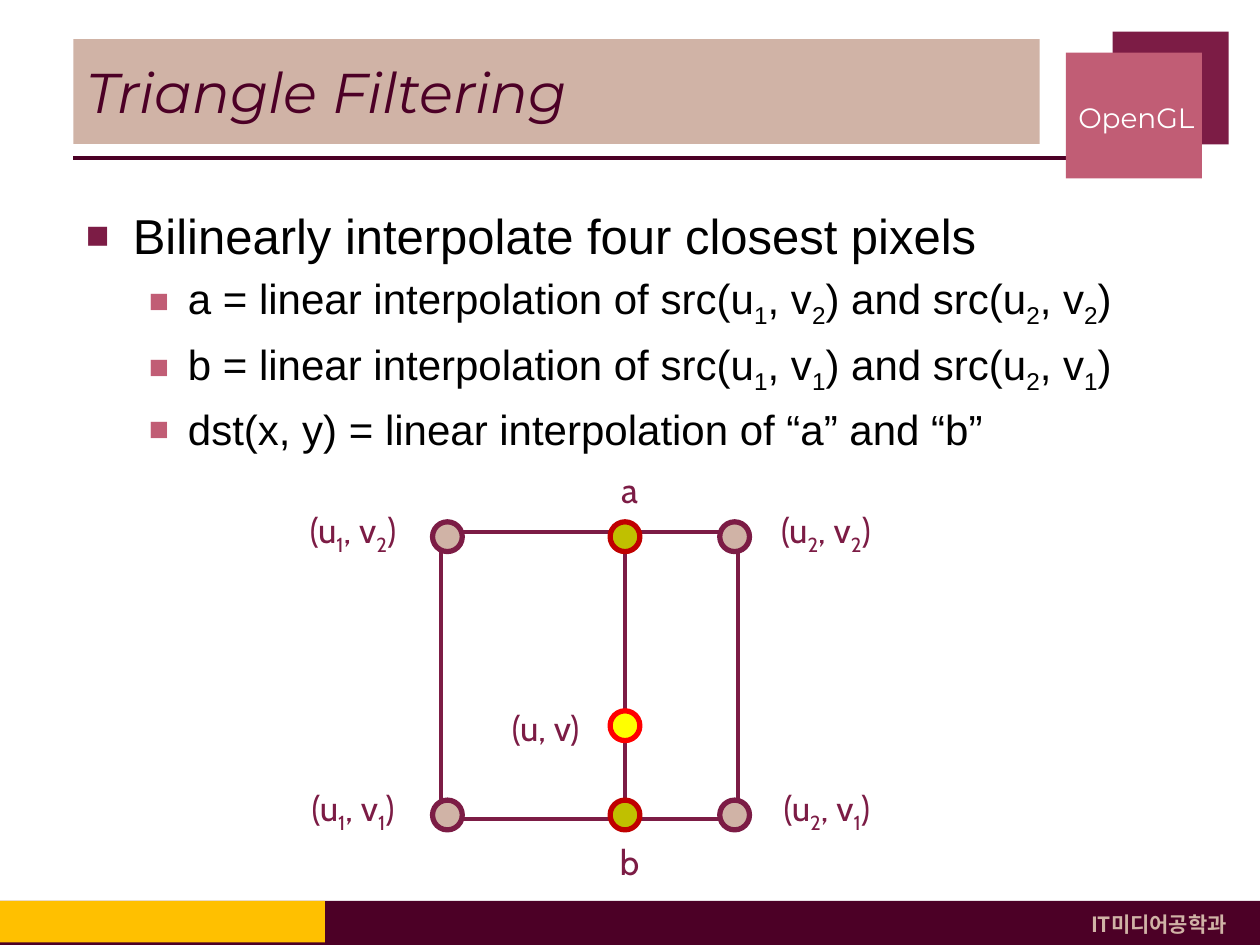
"""Build the Triangle Filtering slide with its bilinear interpolation diagram."""
from lxml import etree
from pptx import Presentation
from pptx.dml.color import RGBColor
from pptx.enum.shapes import MSO_CONNECTOR, MSO_SHAPE
from pptx.enum.text import MSO_ANCHOR, MSO_AUTO_SIZE, PP_ALIGN
from pptx.oxml.ns import qn
from pptx.util import Cm, Pt

RECT, OVAL = MSO_SHAPE.RECTANGLE, MSO_SHAPE.OVAL
STRAIGHT = MSO_CONNECTOR.STRAIGHT
MIDDLE = MSO_ANCHOR.MIDDLE
LEFT, CENTER, RIGHT = PP_ALIGN.LEFT, PP_ALIGN.CENTER, PP_ALIGN.RIGHT
FIXED = MSO_AUTO_SIZE.NONE

COLORS = {
    "dark": "4C0026", "wine": "7C1C45", "rose": "C15D75", "sand": "D0B3A6",
    "amber": "FFC000", "olive": "C0C000", "brick": "C00000",
    "yellow": "FFFF00", "red": "FF0000", "white": "FFFFFF", "black": "000000",
}


def add_figure(kind, left, top, width, height, fill=None, line=None, weight=0):
    figure = slide.shapes.add_shape(kind, Cm(left), Cm(top), Cm(width), Cm(height))
    figure.shadow.inherit = False
    if fill:
        figure.fill.solid()
        figure.fill.fore_color.rgb = RGBColor.from_string(COLORS[fill])
    else:
        figure.fill.background()
    if line:
        figure.line.color.rgb = RGBColor.from_string(COLORS[line])
        figure.line.width = Pt(weight)
    else:
        figure.line.fill.background()
    return figure


def write(paragraph, text, size, font, color, align=LEFT):
    """Add the runs of a text in which an underscore lowers the next character."""
    paragraph.alignment = align
    first, *rest = text.split("_")
    pieces = [(first, False)]
    for part in rest:
        pieces += [(part[0], True), (part[1:], False)]
    for piece, lowered in pieces:
        run = paragraph.add_run()
        run.text = piece
        run.font.size = Pt(size)
        run.font.name = font
        run.font.color.rgb = RGBColor.from_string(COLORS[color])
        if lowered:
            run.font._element.set("baseline", "-25000")
    return run


prs = Presentation()
prs.slide_width, prs.slide_height = Cm(25.4), Cm(19.05)
slide = prs.slides.add_slide(prs.slide_layouts[5])

title = slide.shapes.title
title.left, title.top, title.width, title.height = Cm(1.48), Cm(0.79), Cm(19.48), Cm(2.11)
title.fill.solid()
title.fill.fore_color.rgb = RGBColor.from_string(COLORS["sand"])
title.text_frame.auto_size = FIXED
title.text_frame.vertical_anchor = MIDDLE
title_run = write(title.text_frame.paragraphs[0], "Triangle Filtering", 32, "Montserrat", "dark")
title_run.font.italic = True

rules = [
    (1.48, 3.18, 21.59, 3.18, "dark"),
    (12.6, 10.72, 12.6, 16.53, "wine"),
]
for x1, y1, x2, y2, color in rules:
    rule = slide.shapes.add_connector(STRAIGHT, Cm(x1), Cm(y1), Cm(x2), Cm(y2))
    rule.line.color.rgb = RGBColor.from_string(COLORS[color])
    rule.line.width = Pt(2.25)
    etree.SubElement(rule._element.spPr, qn("a:effectLst"))

add_figure(RECT, 22.43, 0.64, 2.34, 2.27, "wine")
add_figure(RECT, 21.49, 1.06, 2.74, 2.54, "rose")
add_figure(RECT, 0, 18.16, 25.4, 0.89, "dark")
add_figure(RECT, 0, 18.16, 6.55, 0.84, "amber")

department = add_figure(RECT, 21.36, 18.24, 4.01, 0.76, "dark")
department_run = write(department.text_frame.paragraphs[0], "IT미디어공학과", 12,
                       "Noto Sans CJK KR", "sand", CENTER)
department_run.font.bold = True
etree.SubElement(department_run.font._element, qn("a:ea"), typeface="Noto Sans CJK KR")

badge = slide.shapes.add_textbox(Cm(21.49), Cm(1.52), Cm(2.84), Cm(1.7)).text_frame
badge.word_wrap = False
badge.margin_left = 0
badge.vertical_anchor = MIDDLE
write(badge.paragraphs[0], "OpenGL", 16, "Montserrat", "white", RIGHT)

body = slide.shapes.add_textbox(Cm(1.48), Cm(4.01), Cm(22.65), Cm(13.77)).text_frame
body.word_wrap = True
points = [
    (0, "Bilinearly interpolate four closest pixels"),
    (1, "a = linear interpolation of src(u_1, v_2) and src(u_2, v_2)"),
    (1, "b = linear interpolation of src(u_1, v_1) and src(u_2, v_1)"),
    (1, "dst(x, y) = linear interpolation of “a” and “b”"),
]
levels = [(0.95, 0.95, 28, "wine"), (2.06, 0.79, 24, "rose")]
for index, (level, text) in enumerate(points):
    margin, hanging, size, bullet_color = levels[level]
    point = body.paragraphs[0] if index == 0 else body.add_paragraph()
    point.level = level
    point.space_before = Pt(4.8 if index else 0)
    properties = point._p.get_or_add_pPr()
    properties.set("marL", str(Cm(margin)))
    properties.set("indent", str(-Cm(hanging)))
    bullet_fill = etree.SubElement(properties, qn("a:buClr"))
    etree.SubElement(bullet_fill, qn("a:srgbClr"), val=COLORS[bullet_color])
    etree.SubElement(properties, qn("a:buSzPct"), val="80000")
    etree.SubElement(properties, qn("a:buFont"), typeface="Arial")
    etree.SubElement(properties, qn("a:buChar"), char="■")
    write(point, text, size, "Arial", "black")

add_figure(RECT, 8.89, 10.72, 5.99, 5.79, line="wine", weight=2.25)

DIAMETER = 0.6
u1, u, u2 = 9.02, 12.6, 14.81
v2, v, v1 = 10.82, 14.63, 16.43
samples = [(x, y, "sand", "wine") for y in (v2, v1) for x in (u1, u2)]
samples += [(u, v2, "olive", "brick"), (u, v1, "olive", "brick"), (u, v, "yellow", "red")]
for x, y, fill, line in samples:
    add_figure(OVAL, x - DIAMETER / 2, y - DIAMETER / 2, DIAMETER, DIAMETER, fill, line, 3)

LABEL_HEIGHT = 1.09
labels = [
    ("(u_1, v_2)", 7.12, 10.68, 2.72),
    ("(u_1, v_1)", 7.12, 16.27, 2.72),
    ("(u_2, v_2)", 16.65, 10.68, 2.72),
    ("(u_2, v_1)", 16.67, 16.27, 2.72),
    ("a", 12.69, 9.87, 0.89),
    ("b", 12.69, 17.36, 0.89),
    ("(u, v)", 11, 14.67, 2.24),
]
for text, x, y, width in labels:
    label = slide.shapes.add_textbox(Cm(x - width / 2), Cm(y - LABEL_HEIGHT / 2),
                                     Cm(width), Cm(LABEL_HEIGHT)).text_frame
    label.word_wrap = False
    write(label.paragraphs[0], text, 20, "Cabin", "wine", CENTER)

prs.save("out.pptx")
